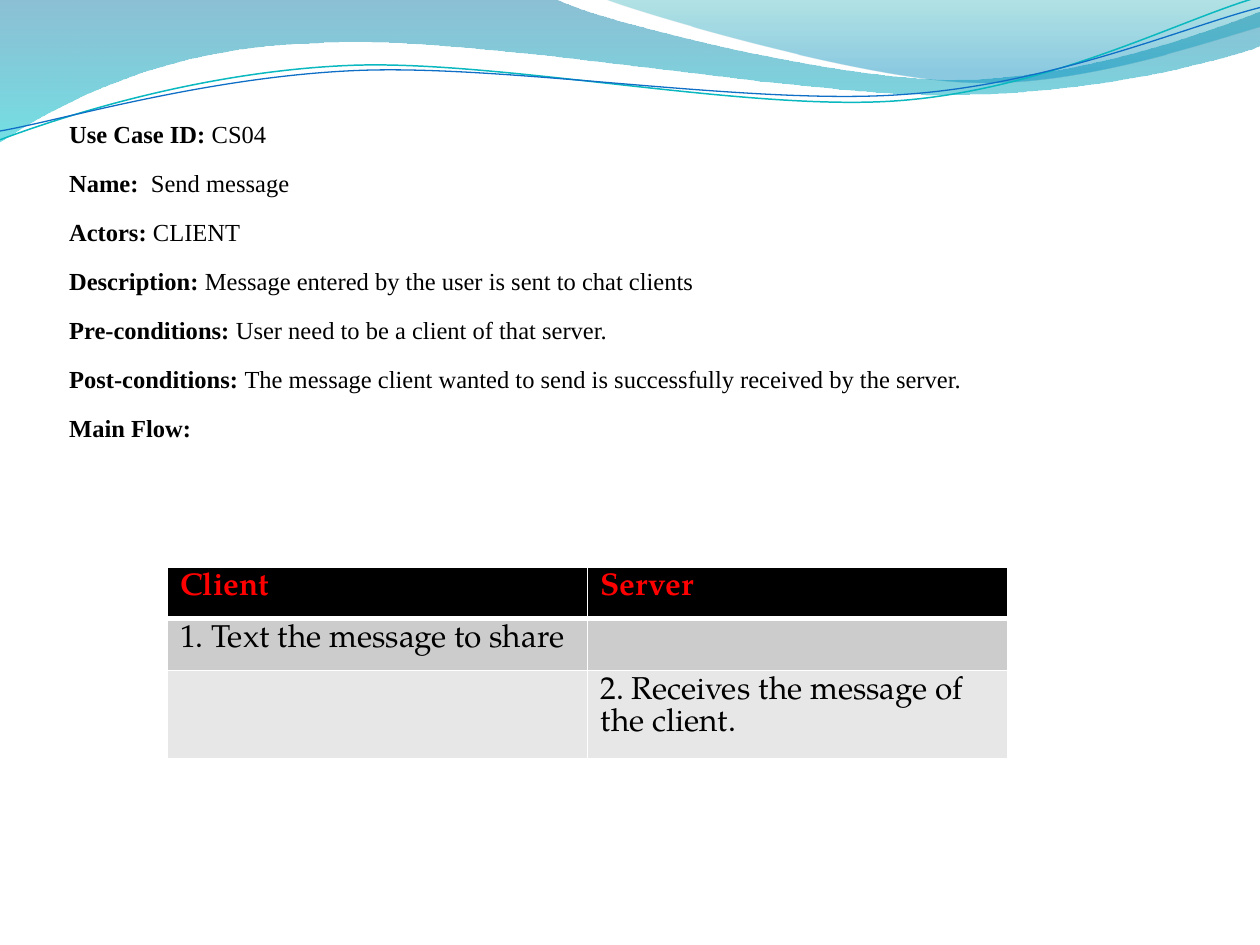
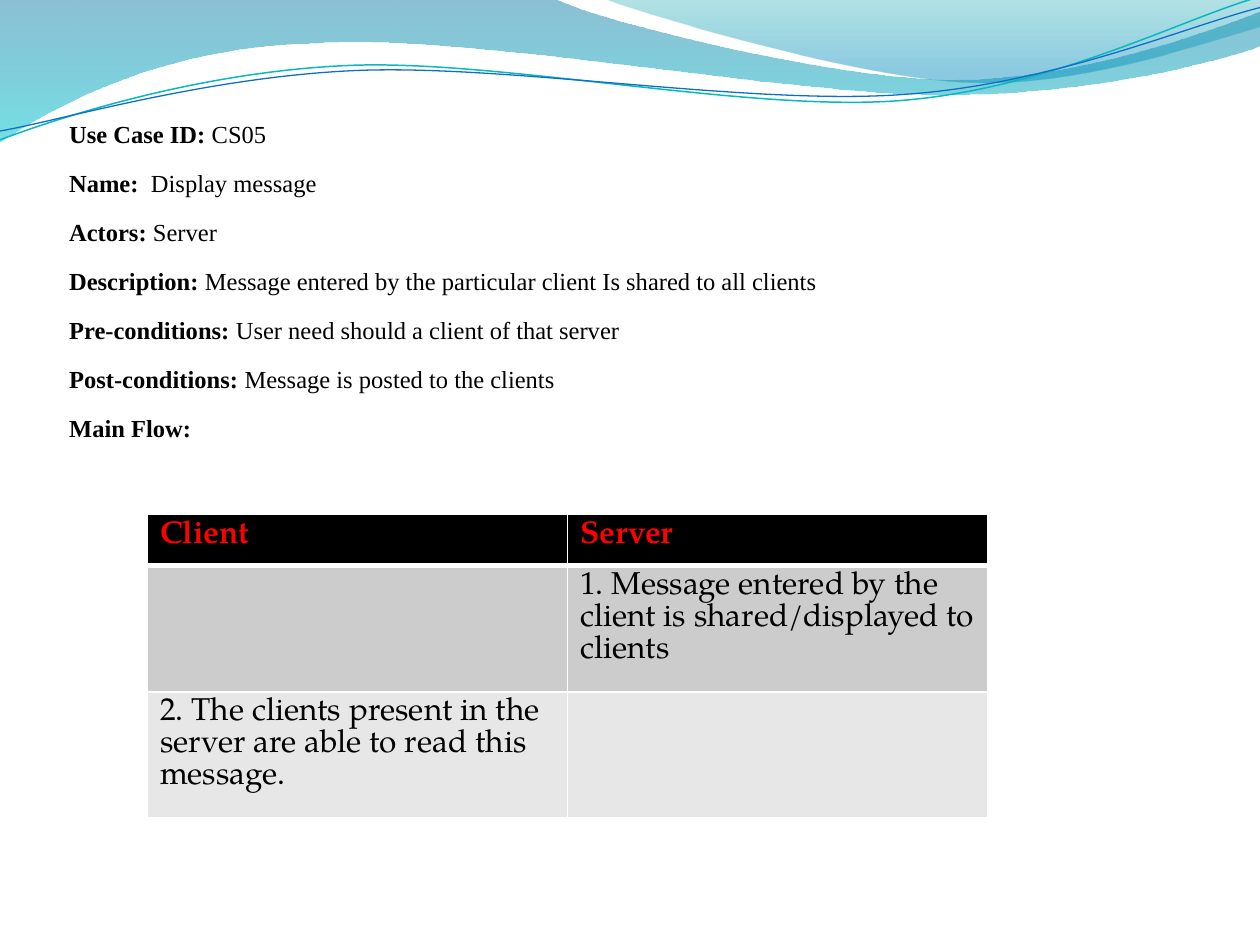
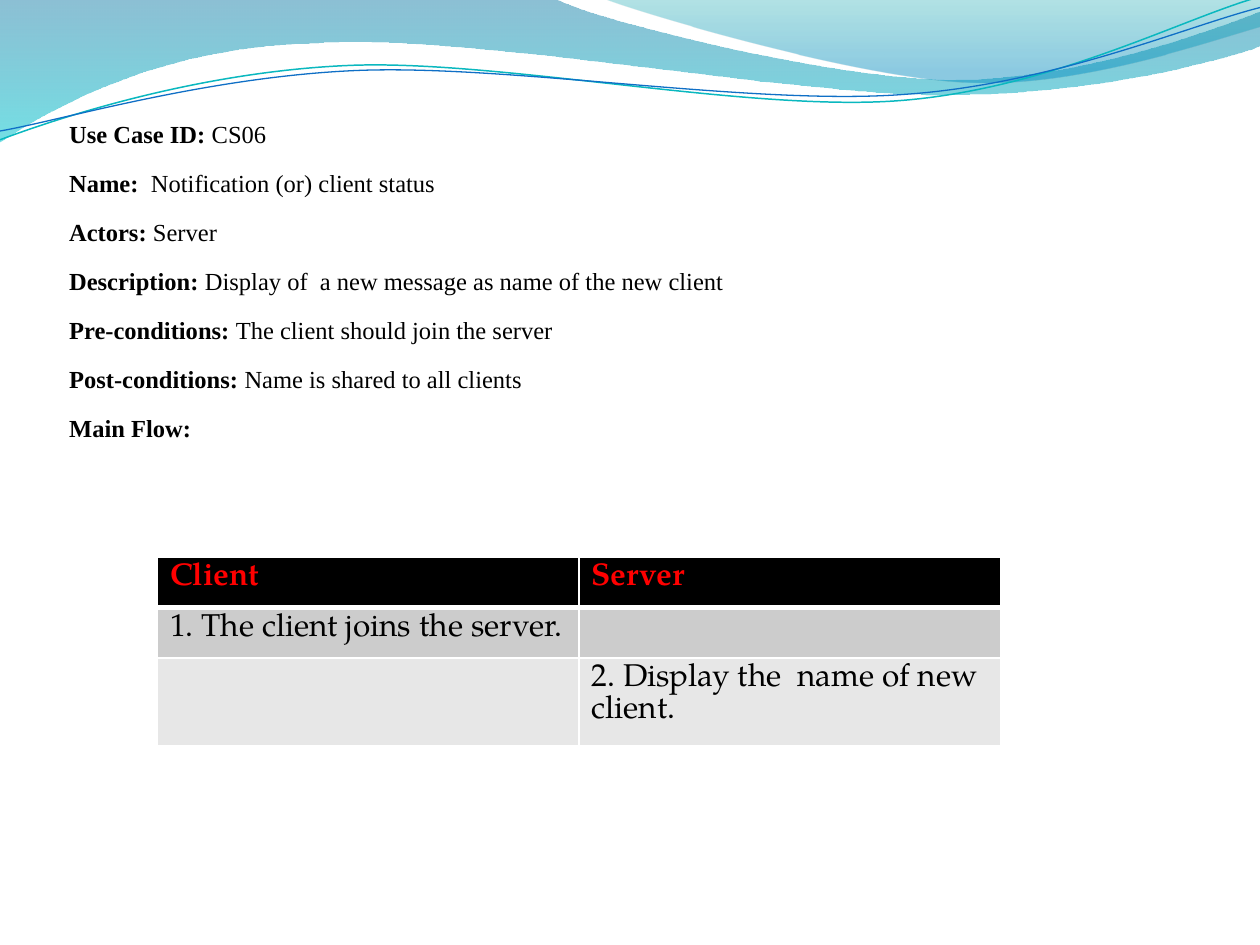
from lxml.etree import SubElement
from pptx import Presentation
from pptx.dml.color import RGBColor
from pptx.enum.text import MSO_ANCHOR
from pptx.oxml.ns import qn
from pptx.util import Emu, Pt

HUES = {
    "paper": "FFFFFF", "ink": "000000", "alert": "FF0000",
    "odd": "CCCCCC", "even": "E7E7E7",
    "deep": "0074A1", "aqua": "00C6CF", "teal": "00A1A9", "sky": "008BBF",
    "curl": "0AB8BF", "blue": "0F6FC6",
}
BODY, GRID = "Times New Roman", "TeX Gyre Pagella"
COLS, ROWS = 10, 7.5
LABELS = ["Use Case ID: ", "Name:  ", "Actors: ", "Description: ",
          "Pre-conditions: ", "Post-conditions: ", "Main Flow:"]

BANDS = [
    ([(0, 0), (4.4, -0.01), (4.76, 0.17, 6.64, 0.63, 7.58, 0.63),
      (8.53, 0.63, 9.58, 0.26, 10, 0.09), (10.01, 0.36),
      (9.83, 0.44, 8.7, 0.76, 7.46, 0.75), (6.22, 0.75, 3.82, 0.28, 2.57, 0.34),
      (1.29, 0.36, 0.46, 0.83, -0.01, 1.13), (0, 0)],
     [(0, "deep", 45), (1, "aqua", 55)]),
    ([(4.79, -0.01), (5.09, 0.11, 6.82, 0.62, 7.69, 0.65),
      (8.56, 0.69, 9.61, 0.32, 10, 0.21), (10, 0), (4.79, -0.01)],
     [(0, "teal", 30), (0.8, "sky", 45)]),
]
WAVES = [
    ([(0, 1.11), (0.48, 0.93, 1.58, 0.57, 2.77, 0.52),
      (3.95, 0.47, 5.93, 0.89, 7.13, 0.8), (8.33, 0.71, 9.38, 0.15, 9.98, -0.02)],
     "curl", 0.85),
    ([(0, 1.04), (0.47, 0.96, 1.64, 0.61, 2.83, 0.56),
      (4.03, 0.51, 5.97, 0.84, 7.17, 0.75), (8.36, 0.67, 9.41, 0.21, 10, 0.06)],
     "blue", 0.75),
]

CASES = [
    dict(facts=["CS04", "Send message", "CLIENT",
                "Message entered by the user is sent to chat clients",
                "User need to be a client of that server.",
                "The message client wanted to send is successfully received by the server.", ""],
         spot=(1.33, 4.5), width=6.67, highs=[0.41, 0.41, 0.69],
         steps=[["1. Text the message to share", ""],
                ["", "2. Receives the message of the client."]]),
    dict(facts=["CS05", "Display message", "Server",
                "Message entered by the particular client Is shared to all clients",
                "User need should a client of that server",
                "Message is posted to the clients", ""],
         spot=(1.17, 4.08), width=6.67, highs=[0.41, 1, 1],
         steps=[["", "1. Message entered by the client is shared/displayed to clients"],
                ["2. The clients present in the server are able to read this message.", ""]]),
    dict(facts=["CS06", "Notification (or) client status", "Server",
                "Display of  a new message as name of the new client",
                "The client should join the server",
                "Name is shared to all clients", ""],
         spot=(1.25, 4.42), width=6.69, highs=[0.4, 0.4, 0.7],
         steps=[["1. The client joins the server.", ""],
                ["", "2. Display the  name of new client."]]),
]


class Deck:
    """Holds the style and the current slide, and draws each kind of element."""

    def __init__(self):
        self.show = Presentation()
        self.show.slide_width, self.show.slide_height = Emu(9144000), Emu(6858000)
        self.slide = None

    def col(self, count):
        return Emu(round(self.show.slide_width * count / COLS))

    def row(self, count):
        return Emu(round(self.show.slide_height * count / ROWS))

    def hue(self, name):
        return RGBColor.from_string(HUES[name])

    def page(self):
        self.slide = self.show.slides.add_slide(self.show.slide_layouts[6])
        fill = self.slide.background.fill
        fill.solid()
        fill.fore_color.rgb = self.hue("paper")
        for points, stops in BANDS:
            self.band(points, stops)
        for points, name, weight in WAVES:
            self.wave(points, name, weight)

    def curve(self, parts, closed):
        spots = [(self.col(part[i]), self.row(part[i + 1]))
                 for part in parts for i in range(0, len(part), 2)]
        pen = self.slide.shapes.build_freeform(*spots[0], scale=1.0)
        pen.add_line_segments(spots[1:], close=closed)
        shape = pen.convert_to_shape()
        shape.shadow.inherit = False
        nodes = iter(list(shape.element.iter(qn("a:lnTo"))))
        for part in parts[1:]:
            node = next(nodes)
            if len(part) == 6:
                bend = node.makeelement(qn("a:cubicBezTo"), {})
                node.addprevious(bend)
                for piece in (node, next(nodes), next(nodes)):
                    bend.append(piece[0])
                    piece.getparent().remove(piece)
        return shape

    def band(self, parts, stops):
        shape = self.curve(parts, True)
        shape.line.fill.background()
        shape.fill.gradient()
        shape.fill.gradient_angle = 270
        for stop, (place, name, alpha) in zip(shape.fill.gradient_stops, stops):
            stop.position = place
            stop.color.rgb = self.hue(name)
        tints = shape.element.spPr.find(qn("a:gradFill")).iter(qn("a:srgbClr"))
        for tint, (place, name, alpha) in zip(tints, stops):
            SubElement(tint, qn("a:alpha"), val=str(alpha * 1000))

    def wave(self, parts, name, weight):
        shape = self.curve(parts, False)
        shape.fill.background()
        shape.line.color.rgb = self.hue(name)
        shape.line.width = Pt(weight)

    def font(self, para, face, size, name, bold=False):
        font = para.font
        font.name, font.size, font.bold = face, Pt(size), bold
        font.color.rgb = self.hue(name)

    def facts(self, values):
        box = self.slide.shapes.add_textbox(
            self.col(0.45), self.row(0.74), self.col(8.08), self.row(3.15))
        frame = box.text_frame
        frame.word_wrap = True
        frame.vertical_anchor = MSO_ANCHOR.TOP
        for i, (label, value) in enumerate(zip(LABELS, values)):
            para = frame.add_paragraph() if i else frame.paragraphs[0]
            para.line_spacing = Pt(28)
            self.font(para, BODY, 14, "ink")
            run = para.add_run()
            run.text = label
            run.font.bold = True
            if value:
                para.add_run().text = value

    def edge(self, cell, side, weight):
        line = SubElement(cell._tc.get_or_add_tcPr(), qn("a:ln" + side), w=str(Pt(weight)))
        fill = SubElement(line, qn("a:solidFill"))
        SubElement(fill, qn("a:srgbClr"), val=HUES["paper"])

    def table(self, spot, width, highs, steps):
        rows = [["Client", "Server"]] + steps
        left, top = spot
        grid = self.slide.shapes.add_table(
            len(rows), 2, self.col(left), self.row(top),
            self.col(width), self.row(sum(highs))).table
        for r, words in enumerate(rows):
            grid.rows[r].height = self.row(highs[r])
            for c, text in enumerate(words):
                cell = grid.cell(r, c)
                for side in "LRTB":
                    thick = (r, side) in [(0, "B"), (1, "T")]
                    self.edge(cell, side, 3 if thick else 1)
                cell.fill.solid()
                cell.fill.fore_color.rgb = self.hue(["ink", "odd", "even"][r])
                cell.text = text
                self.font(cell.text_frame.paragraphs[0], GRID, 18,
                          "ink" if r else "alert", r == 0)


deck = Deck()
for case in CASES:
    deck.page()
    deck.facts(case["facts"])
    deck.table(case["spot"], case["width"], case["highs"], case["steps"])
deck.show.save("out.pptx")
